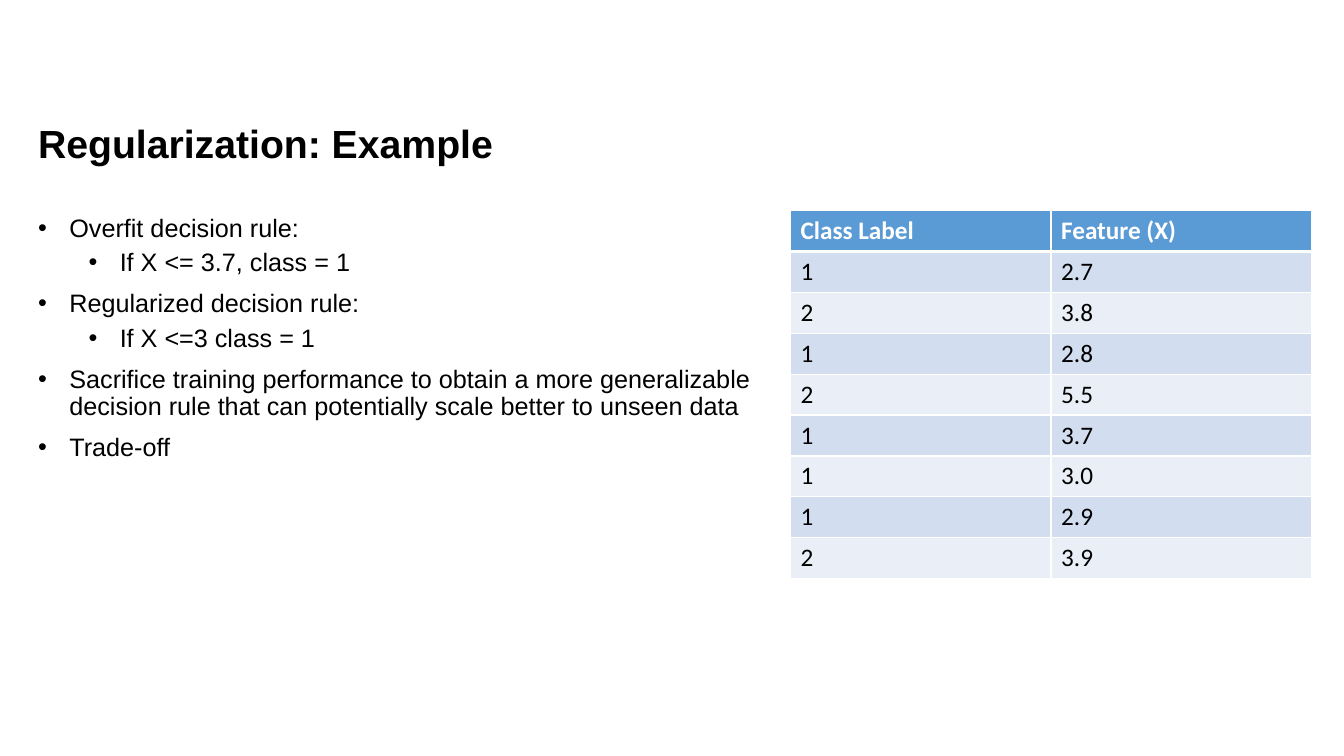
import dataclasses

import lxml.etree
import pptx
import pptx.dml.color
import pptx.enum.text
import pptx.oxml.ns
import pptx.util

Inches = pptx.util.Inches
Pt = pptx.util.Pt
qn = pptx.oxml.ns.qn


@dataclasses.dataclass(frozen=True)
class Theme:
    sans: str = "Arial"
    grid: str = "Calibri"
    ink: str = "000000"
    white: str = "FFFFFF"
    head: str = "5B9BD5"
    bands: tuple = ("D2DEEF", "EAEFF7")
    title: int = 28
    body: int = 18


THEME = Theme()

RULES = [
    (0, "Overfit decision rule:"),
    (1, "If X <= 3.7, class = 1"),
    (0, "Regularized decision rule:"),
    (1, "If X <=3 class = 1"),
    (0, "Sacrifice training performance to obtain a more generalizable "
        "decision rule that can potentially scale better to unseen data"),
    (0, "Trade-off"),
]

ROWS = [
    ("Class Label", "Feature (X)"),
    ("1", "2.7"),
    ("2", "3.8"),
    ("1", "2.8"),
    ("2", "5.5"),
    ("1", "3.7"),
    ("1", "3.0"),
    ("1", "2.9"),
    ("2", "3.9"),
]


def paint(color):
    return pptx.dml.color.RGBColor.from_string(color)


def style(para, face, size, color=THEME.ink, bold=False):
    font = para.font
    font.name = face
    font.size = Pt(size)
    font.bold = bold
    font.color.rgb = paint(color)


def add_frame(slide, left, top, width, height):
    box = slide.shapes.add_textbox(
        Inches(left), Inches(top), Inches(width), Inches(height))
    box.text_frame.word_wrap = True
    return box.text_frame


def add_title(slide, text):
    frame = add_frame(slide, 0.28, 0.95, 12.74, 0.99)
    frame.vertical_anchor = pptx.enum.text.MSO_ANCHOR.MIDDLE
    para = frame.paragraphs[0]
    para.text = text
    para.line_spacing = 0.9
    style(para, THEME.sans, THEME.title, bold=True)


def set_bullet(para, level):
    props = para._p.get_or_add_pPr()
    props.set("marL", str(Inches(0.31 + 0.5 * level)))
    props.set("indent", str(Inches(-0.31)))
    lxml.etree.SubElement(props, qn("a:buFont"), typeface=THEME.sans)
    lxml.etree.SubElement(props, qn("a:buChar"), char="•")


def add_list(slide, items):
    frame = add_frame(slide, 0.28, 2.09, 7.56, 4.98)
    for index, (level, text) in enumerate(items):
        para = frame.add_paragraph() if index else frame.paragraphs[0]
        para.text = text
        para.level = level
        para.line_spacing = 0.9
        para.space_before = Pt(5 if level else 10)
        set_bullet(para, level)
        style(para, THEME.sans, THEME.body)


def set_edges(cell, top, bottom):
    props = cell._tc.get_or_add_tcPr()
    for side, width in (("L", 1), ("R", 1), ("T", top), ("B", bottom)):
        line = lxml.etree.SubElement(props, qn("a:ln" + side), w=str(Pt(width)))
        fill = lxml.etree.SubElement(line, qn("a:solidFill"))
        lxml.etree.SubElement(fill, qn("a:srgbClr"), val=THEME.white)


def add_grid(slide, rows):
    shape = slide.shapes.add_table(
        len(rows), len(rows[0]),
        Inches(7.84), Inches(2.09), Inches(5.17), Inches(3.65))
    table = shape.table
    for r, row in enumerate(rows):
        head = r == 0
        for c, text in enumerate(row):
            cell = table.cell(r, c)
            cell.text = text
            set_edges(cell, 3 if r == 1 else 1, 3 if head else 1)
            cell.fill.solid()
            cell.fill.fore_color.rgb = paint(
                THEME.head if head else THEME.bands[(r - 1) % 2])
            style(cell.text_frame.paragraphs[0], THEME.grid, THEME.body,
                  THEME.white if head else THEME.ink, head)


def main():
    deck = pptx.Presentation()
    deck.slide_width = Inches(13.33)
    deck.slide_height = Inches(7.5)
    slide = deck.slides.add_slide(deck.slide_layouts[6])
    add_title(slide, "Regularization: Example")
    add_grid(slide, ROWS)
    add_list(slide, RULES)
    deck.save("out.pptx")


if __name__ == "__main__":
    main()
